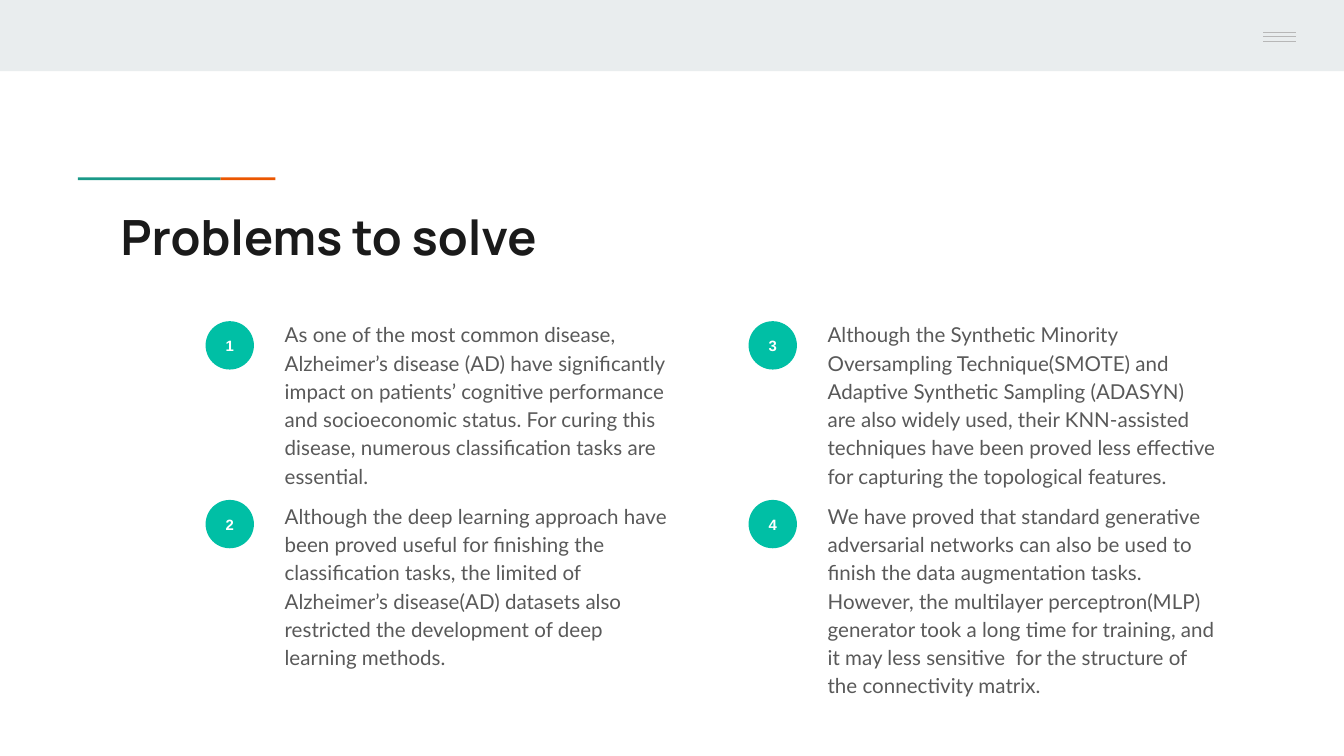
import pptx
import pptx.util
import pptx.dml.color
import pptx.enum.shapes
import pptx.enum.text
import pptx.oxml.ns
import lxml.etree

Inches = pptx.util.Inches
Pt = pptx.util.Pt
Shape = pptx.enum.shapes.MSO_SHAPE
Anchor = pptx.enum.text.MSO_ANCHOR
Align = pptx.enum.text.PP_ALIGN

TITLE = "Problems to solve"
PROBLEMS = [
    "As one of the most common disease, Alzheimer’s disease (AD) have significantly impact on patients’ cognitive performance and socioeconomic status. For curing this disease, numerous classification tasks are essential.",
    "Although the deep learning approach have been proved useful for finishing the classification tasks, the limited of Alzheimer’s disease(AD) datasets also restricted the development of deep learning methods.",
    "Although the Synthetic Minority Oversampling Technique(SMOTE) and Adaptive Synthetic Sampling (ADASYN) are also widely used, their KNN-assisted techniques have been proved less effective for capturing the topological features.",
    "We have proved that standard generative adversarial networks can also be used to finish the data augmentation tasks. However, the multilayer perceptron(MLP) generator took a long time for training, and it may less sensitive  for the structure of the connectivity matrix.",
]
THEME = {
    "band": "E9EDEE",
    "orange": "EB5600",
    "teal": "1A9988",
    "menu": "B7B7B7",
    "badge": "00BFA5",
    "title": ("Manrope", 26, "1A1A1A", True),
    "number": ("Arial", 8, "FFFFFF", True),
    "body": ("Lato", 11, "595959", False),
}
SLIDE_WIDTH = 10
SLIDE_HEIGHT = SLIDE_WIDTH * 9 / 16
ROWS = [(2.39, 2.27), (3.72, 3.62)]
BADGE_LEFT, TEXT_LEFT, COLUMN_STEP = 1.53, 2.02, 4.04
BADGE_SIZE = 0.36
MENU_LINES = [0.24, 0.27, 0.31]


def color(name):
    return pptx.dml.color.RGBColor.from_string(name)


def add_filled(page, kind, fill, left, top, width, height):
    shape = page.shapes.add_shape(kind, Inches(left), Inches(top), Inches(width), Inches(height))
    shape.shadow.inherit = False
    shape.fill.solid()
    shape.fill.fore_color.rgb = color(THEME[fill])
    shape.line.fill.background()
    return shape


def write(shape, text, style, anchor=Anchor.TOP, wrap=True):
    frame = shape.text_frame
    frame.text = text
    frame.word_wrap = wrap
    frame.vertical_anchor = anchor
    frame.margin_left = frame.margin_right = Inches(0.1)
    frame.margin_top = frame.margin_bottom = Inches(0.1)
    para = frame.paragraphs[0]
    font = para.runs[0].font
    font.name, size, ink, font.bold = THEME[style]
    font.size = Pt(size)
    font.color.rgb = color(ink)
    return para


def add_text(page, text, style, left, top, width, height):
    box = page.shapes.add_textbox(Inches(left), Inches(top), Inches(width), Inches(height))
    return write(box, text, style)


def add_menu_line(page, top):
    line = page.shapes.add_connector(
        pptx.enum.shapes.MSO_CONNECTOR.STRAIGHT,
        Inches(9.4), Inches(top), Inches(9.64), Inches(top))
    line.line.color.rgb = color(THEME["menu"])
    line.line.width = Pt(0.75)
    properties = line._element.spPr
    lxml.etree.SubElement(properties, pptx.oxml.ns.qn("a:effectLst"))


def add_problem(page, index, text):
    column, row = divmod(index, len(ROWS))
    badge_top, text_top = ROWS[row]
    shift = column * COLUMN_STEP
    badge = add_filled(page, Shape.OVAL, "badge", BADGE_LEFT + shift, badge_top, BADGE_SIZE, BADGE_SIZE)
    number = write(badge, str(index + 1), "number", Anchor.MIDDLE, wrap=False)
    number.alignment = Align.CENTER
    para = add_text(page, text, "body", TEXT_LEFT + shift, text_top, 3.1, 1.15)
    para.line_spacing = 1.15
    para.space_after = Pt(16)


def main():
    deck = pptx.Presentation()
    deck.slide_width, deck.slide_height = Inches(SLIDE_WIDTH), Inches(SLIDE_HEIGHT)
    page = deck.slides.add_slide(deck.slide_layouts[6])
    add_filled(page, Shape.RECTANGLE, "band", 0, 0, SLIDE_WIDTH, 0.53)
    add_filled(page, Shape.RECTANGLE, "orange", 1.64, 1.32, 0.41, 0.02)
    add_filled(page, Shape.RECTANGLE, "teal", 0.58, 1.32, 1.06, 0.02)
    for top in MENU_LINES:
        add_menu_line(page, top)
    add_text(page, TITLE, "title", 0.8, 1.44, 8.41, 0.59)
    for index, text in enumerate(PROBLEMS):
        add_problem(page, index, text)
    deck.save("out.pptx")


if __name__ == "__main__":
    main()
